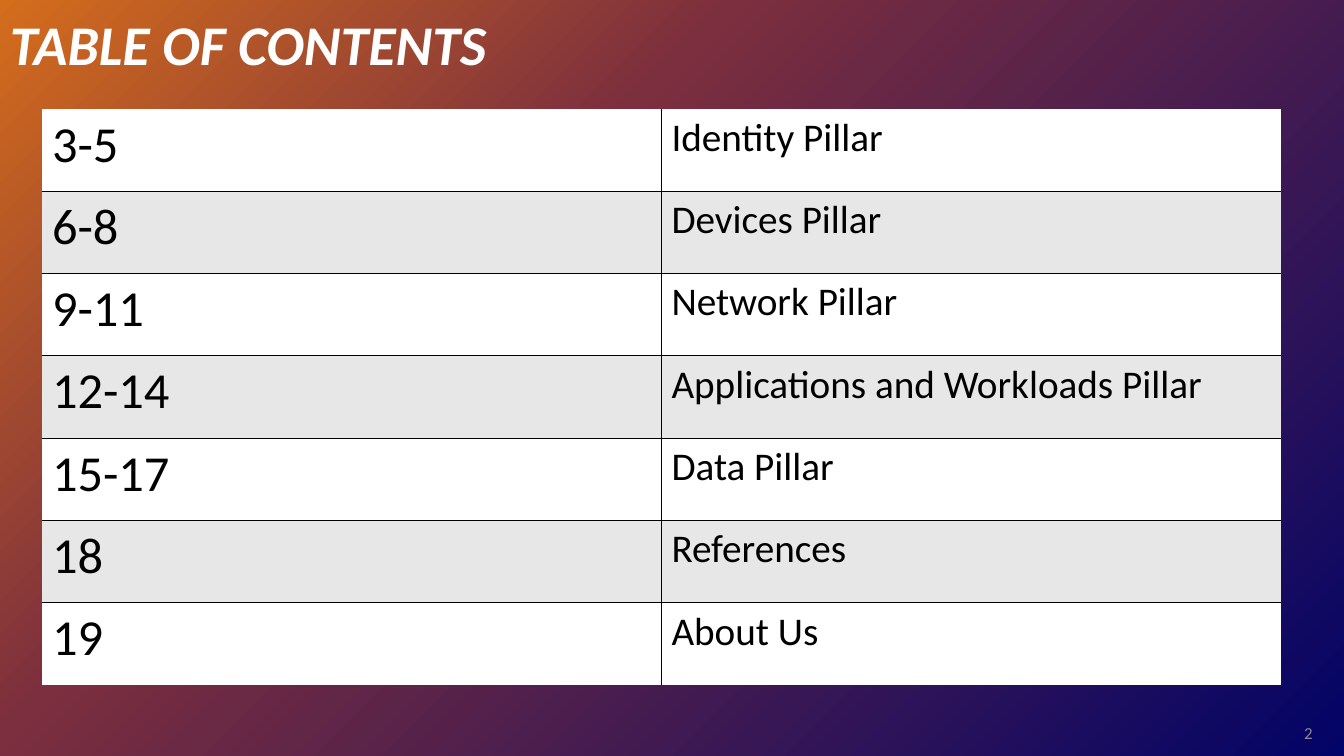
import pptx
import pptx.dml.color
import pptx.enum.text
import pptx.oxml
import pptx.oxml.ns
import pptx.util

Pt = pptx.util.Pt
RGB = pptx.dml.color.RGBColor
ALIGN = pptx.enum.text.PP_ALIGN
ANCHOR = pptx.enum.text.MSO_ANCHOR
NS = pptx.oxml.ns.nsdecls("a")

ORANGE = RGB(0xD4, 0x6D, 0x1C)
WINE = RGB(0x7C, 0x2F, 0x3E)
NAVY = RGB(0x02, 0x04, 0x67)
WHITE = RGB(0xFF, 0xFF, 0xFF)
BAND = RGB(0xE7, 0xE7, 0xE7)
GRAY = RGB(0x8C, 0x8C, 0x8C)
BLACK = RGB(0, 0, 0)

NO_GRID_STYLE = "{2D5ABB26-0587-4C30-8999-92F81FD0307C}"
CONTENTS = [
    ("3-5", "Identity Pillar"),
    ("6-8", "Devices Pillar"),
    ("9-11", "Network Pillar"),
    ("12-14", "Applications and Workloads Pillar"),
    ("15-17", "Data Pillar"),
    ("18", "References"),
    ("19", "About Us"),
]


def write(tf, text, size, color=BLACK, bold=False, italic=False, align=ALIGN.LEFT):
    p = tf.paragraphs[0]
    p.alignment = align
    r = p.add_run()
    r.text = text
    font = r.font
    font.name, font.size = "Calibri", Pt(size)
    font.bold, font.italic = bold, italic
    font.color.rgb = color


class Deck:
    def __init__(self, prs):
        self.prs = prs
        self.s = prs.slides.add_slide(prs.slide_layouts[6])

    def background(self, stops):
        fill = self.s.background.fill
        fill.gradient()
        fill.gradient_angle = 315
        gs_list = fill.gradient_stops[0]._gs.getparent()
        for gs in list(gs_list):
            gs_list.remove(gs)
        for percent, color in stops:
            gs_list.append(pptx.oxml.parse_xml(
                f'<a:gs {NS} pos="{percent * 1000}"><a:srgbClr val="{color}"/></a:gs>'))

    def text(self, text, x, y, w, h, anchor, **fmt):
        tf = self.s.shapes.add_textbox(Pt(x), Pt(y), Pt(w), Pt(h)).text_frame
        tf.word_wrap = True
        tf.vertical_anchor = anchor
        write(tf, text, **fmt)

    def border(self, cell, sides):
        # Borders come before the fill in the cell properties
        for i, side in enumerate(sides):
            cell._tc.get_or_add_tcPr().insert(i, pptx.oxml.parse_xml(
                f'<a:ln{side} {NS} w="{Pt(1)}"><a:solidFill>'
                f'<a:srgbClr val="{BLACK}"/></a:solidFill></a:ln{side}>'))

    def table(self, rows, x, y, w, h, sizes):
        n_rows, n_cols = len(rows), len(sizes)
        frame = self.s.shapes.add_table(n_rows, n_cols, Pt(x), Pt(y), Pt(w), Pt(h))
        table = frame.table
        table._tbl.tblPr.find(pptx.oxml.ns.qn("a:tableStyleId")).text = NO_GRID_STYLE
        for i, row in enumerate(rows):
            for j, text in enumerate(row):
                cell = table.cell(i, j)
                cell.fill.solid()
                cell.fill.fore_color.rgb = BAND if i % 2 else WHITE
                write(cell.text_frame, text, sizes[j])
                # Inner grid lines only
                inner = {"L": j > 0, "R": j < n_cols - 1,
                         "T": i > 0, "B": i < n_rows - 1}
                self.border(cell, [side for side in inner if inner[side]])


def main():
    prs = pptx.Presentation()
    prs.slide_width, prs.slide_height = Pt(960), Pt(540)
    deck = Deck(prs)

    # Background
    deck.background([(0, ORANGE), (35, WINE), (100, NAVY)])

    # Title
    deck.text("TABLE OF CONTENTS", 0, -57.6, 836, 116, ANCHOR.BOTTOM,
              size=40, color=WHITE, bold=True, italic=True)

    # Page number
    deck.text("2", 909.4, 509, 35.3, 28.8, ANCHOR.MIDDLE,
              size=12, color=GRAY, align=ALIGN.RIGHT)

    # Contents table
    deck.table(CONTENTS, 30, 77.8, 885, 411.6, sizes=(36, 28))

    prs.save("out.pptx")


if __name__ == "__main__":
    main()
